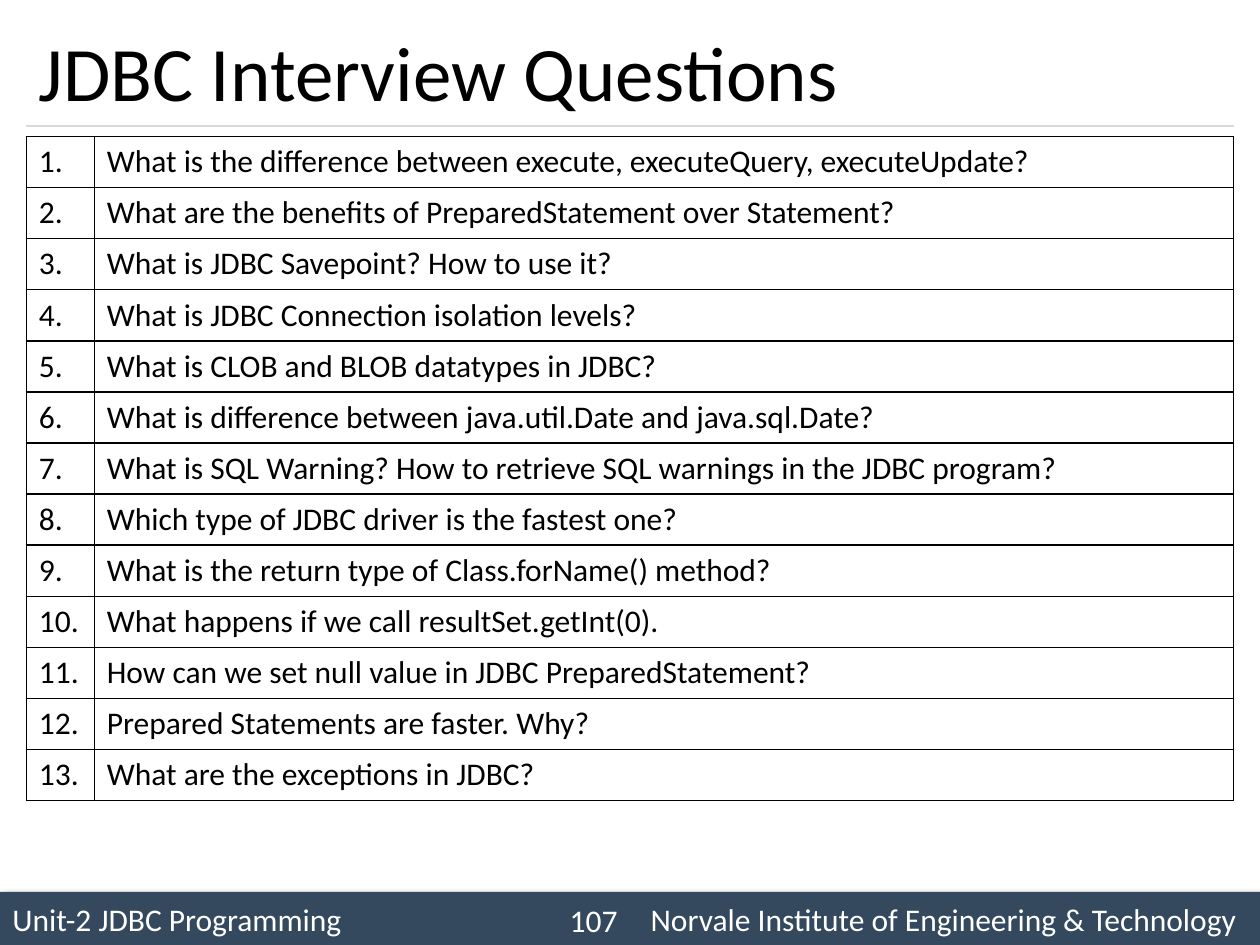
from dataclasses import dataclass

from lxml import etree
from pptx import Presentation
from pptx.dml.color import RGBColor
from pptx.enum import shapes, text
from pptx.oxml import ns
from pptx.util import Cm, Pt

TITLE = "JDBC Interview Questions"
UNIT = "Unit-2 JDBC Programming"
SCHOOL = "Norvale Institute of Engineering & Technology"
PAGE = "107"
ASKS = [
    "What is the difference between execute, executeQuery, executeUpdate?",
    "What are the benefits of PreparedStatement over Statement?",
    "What is JDBC Savepoint? How to use it?",
    "What is JDBC Connection isolation levels?",
    "What is CLOB and BLOB datatypes in JDBC?",
    "What is difference between java.util.Date and java.sql.Date?",
    "What is SQL Warning? How to retrieve SQL warnings in the JDBC program?",
    "Which type of JDBC driver is the fastest one?",
    "What is the return type of Class.forName() method?",
    "What happens if we call resultSet.getInt(0).",
    "How can we set null value in JDBC PreparedStatement?",
    "Prepared Statements are faster. Why?",
    "What are the exceptions in JDBC?",
]


@dataclass(frozen=True)
class Theme:
    font: str = "Calibri"
    ink: str = "000000"
    pale: str = "FFFFFF"
    bar: str = "34495E"
    rule: str = "D9D9D9"
    head: int = 44
    body: int = 18


LOOK = Theme()
WIDE, HIGH = Cm(25.4), Cm(19.05)
EDGE = Cm(0.53)
SPAN = WIDE - 2 * EDGE
RULE_Y = Cm(2.54)
GRID_Y, ROW_H, NUM_W = Cm(2.75), Cm(1.03), Cm(1.37)
BAR_H = Cm(1.07)
MID = text.MSO_ANCHOR.MIDDLE


def rgb(code):
    return RGBColor.from_string(code)


def node(root, tag, **attrs):
    return etree.SubElement(root, ns.qn(tag), attrs)


def write(frame, words, size, color, align=text.PP_ALIGN.LEFT):
    frame.text = words
    par = frame.paragraphs[0]
    par.alignment = align
    par.font.name, par.font.size = LOOK.font, Pt(size)
    par.font.color.rgb = rgb(color)
    return par


def border(cell):
    """Draw a thin line on all four sides of a cell."""
    props = cell._tc.get_or_add_tcPr()
    for spot, side in enumerate("LRTB"):
        line = etree.Element(ns.qn(f"a:ln{side}"), w=str(Pt(1)))
        node(node(line, "a:solidFill"), "a:srgbClr", val=LOOK.ink)
        props.insert(spot, line)


def add_head(slide):
    head = slide.shapes.title
    head.left, head.top, head.width, head.height = EDGE, Cm(0.3), SPAN, Cm(2.24)
    head.text_frame.vertical_anchor = MID
    write(head.text_frame, TITLE, LOOK.head, LOOK.ink)
    rule = slide.shapes.add_connector(
        shapes.MSO_CONNECTOR.STRAIGHT, EDGE, RULE_Y, EDGE + SPAN, RULE_Y)
    rule.line.color.rgb, rule.line.width = rgb(LOOK.rule), Pt(0.75)
    node(rule._element.spPr, "a:effectLst")


def add_grid(slide):
    table = slide.shapes.add_table(
        len(ASKS), 2, EDGE, GRID_Y, SPAN, ROW_H * len(ASKS)).table
    table.first_row = table.horz_banding = False
    table.columns[0].width, table.columns[1].width = NUM_W, SPAN - NUM_W
    for row, ask in enumerate(ASKS):
        for col, words in enumerate((f"{row + 1}.", ask)):
            cell = table.cell(row, col)
            write(cell.text_frame, words, LOOK.body, LOOK.ink)
            cell.fill.background()
            border(cell)


def add_foot(slide):
    top = HIGH - BAR_H
    bar = slide.shapes.add_shape(
        shapes.MSO_SHAPE.RECTANGLE, 0, top, WIDE, BAR_H)
    bar.fill.solid()
    bar.fill.fore_color.rgb = rgb(LOOK.bar)
    bar.line.fill.background()
    bar.shadow.inherit = False
    glow = node(bar._element.spPr.find(ns.qn("a:effectLst")), "a:outerShdw",
                blurRad=str(Pt(4)), dist=str(Pt(3)), dir="2700000")
    node(node(glow, "a:srgbClr", val=LOOK.ink), "a:alpha", val="40000")
    bar.text_frame.vertical_anchor = MID
    par = write(bar.text_frame, f"{UNIT}\t{SCHOOL}", LOOK.body, LOOK.pale)
    tabs = etree.Element(ns.qn("a:tabLst"))
    node(tabs, "a:tab", pos=str(Cm(24.68)), algn="r")
    par._p.get_or_add_pPr().insert(0, tabs)

    page = slide.shapes.add_textbox(Cm(10.59), top + Cm(0.05), Cm(2.11), Cm(1.02))
    page.text_frame.word_wrap = True
    page.text_frame.vertical_anchor = MID
    write(page.text_frame, PAGE, LOOK.body, LOOK.pale, text.PP_ALIGN.RIGHT)


def main():
    deck = Presentation()
    deck.slide_width, deck.slide_height = WIDE, HIGH
    slide = deck.slides.add_slide(deck.slide_layouts[5])
    add_head(slide)
    add_grid(slide)
    add_foot(slide)
    deck.save("out.pptx")


if __name__ == "__main__":
    main()
